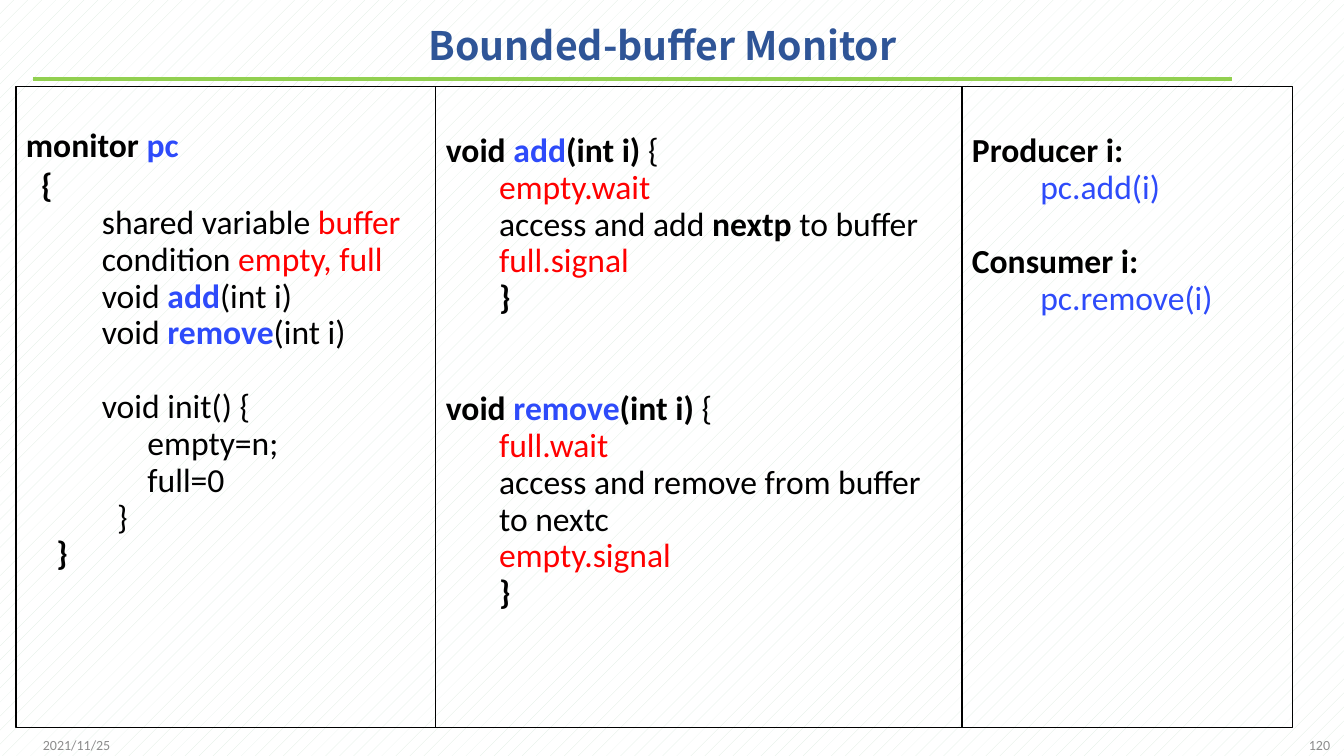
from dataclasses import dataclass
from itertools import accumulate

from lxml import etree
from pptx import Presentation
from pptx import util as u
from pptx.dml.color import RGBColor
from pptx.enum import dml, shapes, text
from pptx.oxml import ns

WIDTH, HEIGHT = 1344, 756
SCALE = 12192000 / WIDTH


@dataclass(frozen=True)
class Theme:
    """Colours, fonts and point sizes of the slide."""
    ink: str = "000000"
    name: str = "2E4BFA"
    signal: str = "FF0000"
    title: str = "2F5597"
    rule: str = "92D050"
    muted: str = "8C8C8C"
    paper: str = "FFFFFF"
    hatch: str = "DCECE0"
    body_font: str = "Calibri"
    title_font: str = "Noto Sans CJK SC"
    title_size: int = 28
    code_size: int = 24
    footer_size: int = 10
    line_gap: float = 3.2
    header_gap: float = 5.6
    line_pitch: float = 26.6


THEME = Theme()
PLAIN = {}
BOLD = {"bold": True}
NAME = {"color": THEME.name}
BOLD_NAME = {"color": THEME.name, "bold": True}
SIGNAL = {"color": THEME.signal}

MONITOR = [
    (0, [("monitor ", BOLD), ("pc", BOLD_NAME)]),
    (0, [("  {", BOLD)]),
    (0, [("          shared variable ", PLAIN), ("buffer", SIGNAL)]),
    (0, [("          condition", PLAIN), (" empty, full", SIGNAL)]),
    (0, [("          void ", PLAIN), ("add", BOLD_NAME), ("(int i)", PLAIN)]),
    (0, [("          void ", PLAIN), ("remove", BOLD_NAME), ("(int i)", PLAIN)]),
    (1, [("          void init() {", PLAIN)]),
    (0, [("                empty=n;", PLAIN)]),
    (0, [("                full=0", PLAIN)]),
    (0, [("            }", PLAIN)]),
    (0, [("    }", BOLD)]),
]
OPERATIONS = [
    (0, [("void ", BOLD), ("add", BOLD_NAME), ("(int i) ", BOLD), ("{", PLAIN)]),
    (0, [("       empty.wait", SIGNAL)]),
    (0, [("       access and add ", PLAIN), ("nextp ", BOLD), ("to buffer", PLAIN)]),
    (0, [("       full.signal", SIGNAL)]),
    (0, [("       }", BOLD)]),
    (2, [("void ", BOLD), ("remove", BOLD_NAME), ("(int i) ", BOLD), ("{", PLAIN)]),
    (0, [("       full.wait", SIGNAL)]),
    (0, [("       access and remove from buffer", PLAIN)]),
    (0, [("       to nextc", PLAIN)]),
    (0, [("       empty.signal", SIGNAL)]),
    (0, [("       }", BOLD)]),
]
CALLERS = [
    (0, [("Producer i:", BOLD)]),
    (0, [("         pc.add(i)", NAME)]),
    (1, [("Consumer i:", BOLD)]),
    (0, [("         pc.remove(i)", NAME)]),
]


def px(length):
    """Turn pixels into EMU."""
    return u.Emu(round(length * SCALE))


def rgb(code):
    """Turn a hex code into a colour."""
    return RGBColor.from_string(code)


def write(paragraph, words, color=THEME.ink, size=THEME.code_size,
          font=THEME.body_font, bold=False):
    """Add formatted words to a paragraph."""
    run = paragraph.add_run()
    run.text = words
    run.font.name, run.font.size, run.font.bold = font, u.Pt(size), bold
    run.font.color.rgb = rgb(color)
    east_asian = etree.SubElement(run.font._element, ns.qn("a:ea"))
    east_asian.set("typeface", font)


def add_label(slide, box, words, align, spacing=1.0, **style):
    """Add a single line of text centred vertically in a box."""
    label = slide.shapes.add_textbox(*map(px, box)).text_frame
    label.word_wrap = True
    label.margin_top = label.margin_bottom = 0
    label.vertical_anchor = text.MSO_ANCHOR.MIDDLE
    line = label.paragraphs[0]
    line.alignment, line.line_spacing = align, spacing
    write(line, words, **style)


def add_rule(slide, start, end, y):
    """Add the horizontal rule under the title."""
    rule = slide.shapes.add_connector(
        shapes.MSO_CONNECTOR.STRAIGHT, px(start), px(y), px(end), px(y))
    rule.line.color.rgb = rgb(THEME.rule)
    rule.line.width = u.Pt(2.25)
    etree.SubElement(rule._element.spPr, ns.qn("a:effectLst"))


def add_panel(slide, box, top_inset, opening_gap, code):
    """Add an outlined panel of code lines."""
    panel = slide.shapes.add_shape(shapes.MSO_SHAPE.RECTANGLE, *map(px, box))
    panel.shadow.inherit = False
    panel.fill.background()
    panel.line.color.rgb = rgb(THEME.ink)
    panel.line.width = u.Pt(0.75)
    frame = panel.text_frame
    frame.word_wrap = True
    frame.vertical_anchor = text.MSO_ANCHOR.TOP
    frame.margin_top = px(top_inset)
    for index, (skipped, pieces) in enumerate(code):
        line = frame.add_paragraph() if index else frame.paragraphs[0]
        line.alignment, line.line_spacing = text.PP_ALIGN.LEFT, 0.8
        if index:
            gap = opening_gap if index == 1 else THEME.line_gap
            line.space_before = u.Pt(round(gap + skipped * THEME.line_pitch, 1))
        for words, style in pieces:
            write(line, words, **style)


def paint_background(slide):
    """Fill the background with a faint pattern."""
    fill = slide.background.fill
    fill.patterned()
    fill.pattern = dml.MSO_PATTERN.PERCENT_5
    fill.fore_color.rgb = rgb(THEME.hatch)
    fill.back_color.rgb = rgb(THEME.paper)


def main():
    """Build and save the slide."""
    deck = Presentation()
    deck.slide_width, deck.slide_height = px(WIDTH), px(HEIGHT)
    slide = deck.slides.add_slide(deck.slide_layouts[6])
    paint_background(slide)
    add_rule(slide, 33, 1232, 79)
    add_label(slide, (25, 9, 1275, 78), "Bounded-buffer Monitor",
              text.PP_ALIGN.CENTER, spacing=0.9, color=THEME.title,
              size=THEME.title_size, font=THEME.title_font, bold=True)
    for left, words, align in ((33, "2021/11/25", text.PP_ALIGN.LEFT),
                               (1038, "120", text.PP_ALIGN.RIGHT)):
        add_label(slide, (left, 734, 302, 22), words, align,
                  color=THEME.muted, size=THEME.footer_size)
    widths = (420, 526, 331)
    lefts = accumulate(widths[:-1], initial=16)
    panels = ((45, THEME.header_gap, MONITOR),
              (50, THEME.line_gap, OPERATIONS),
              (50, THEME.line_gap, CALLERS))
    for left, width, panel in zip(lefts, widths, panels):
        add_panel(slide, (left, 87, width, 641), *panel)
    deck.save("out.pptx")


if __name__ == "__main__":
    main()
